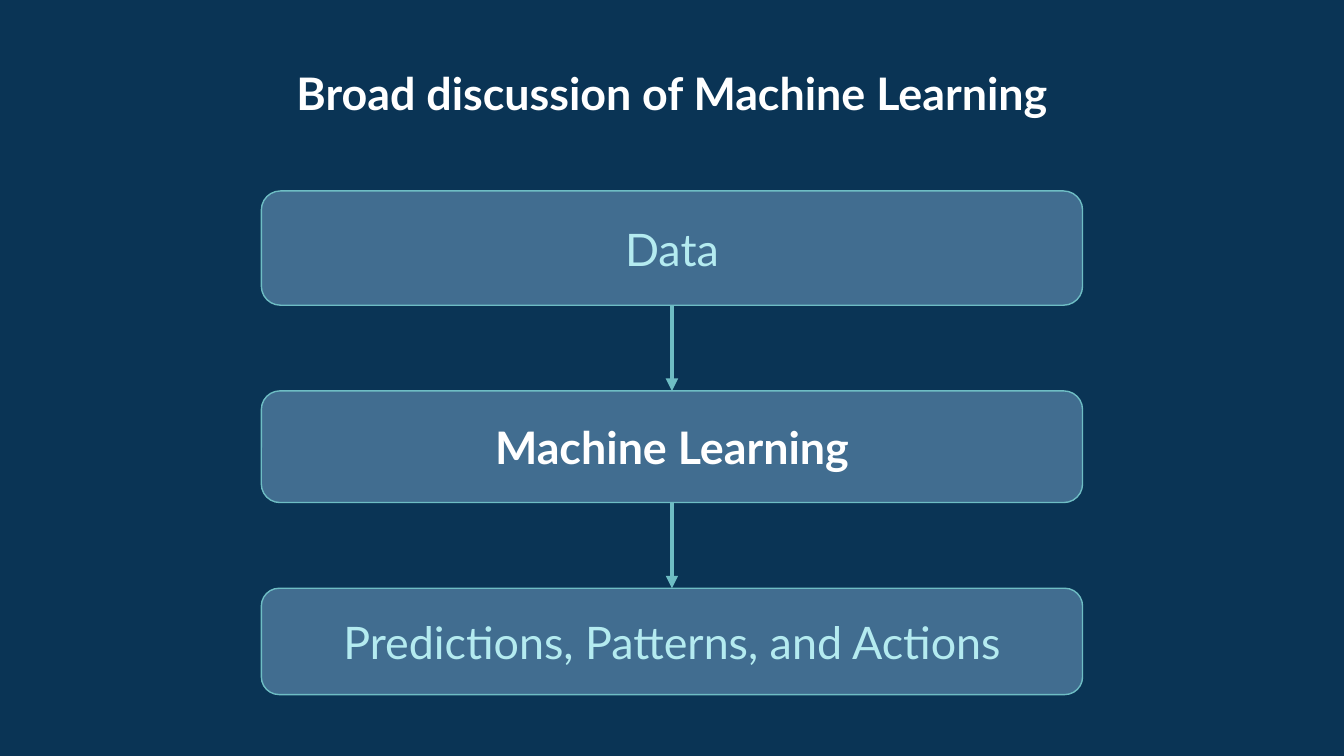
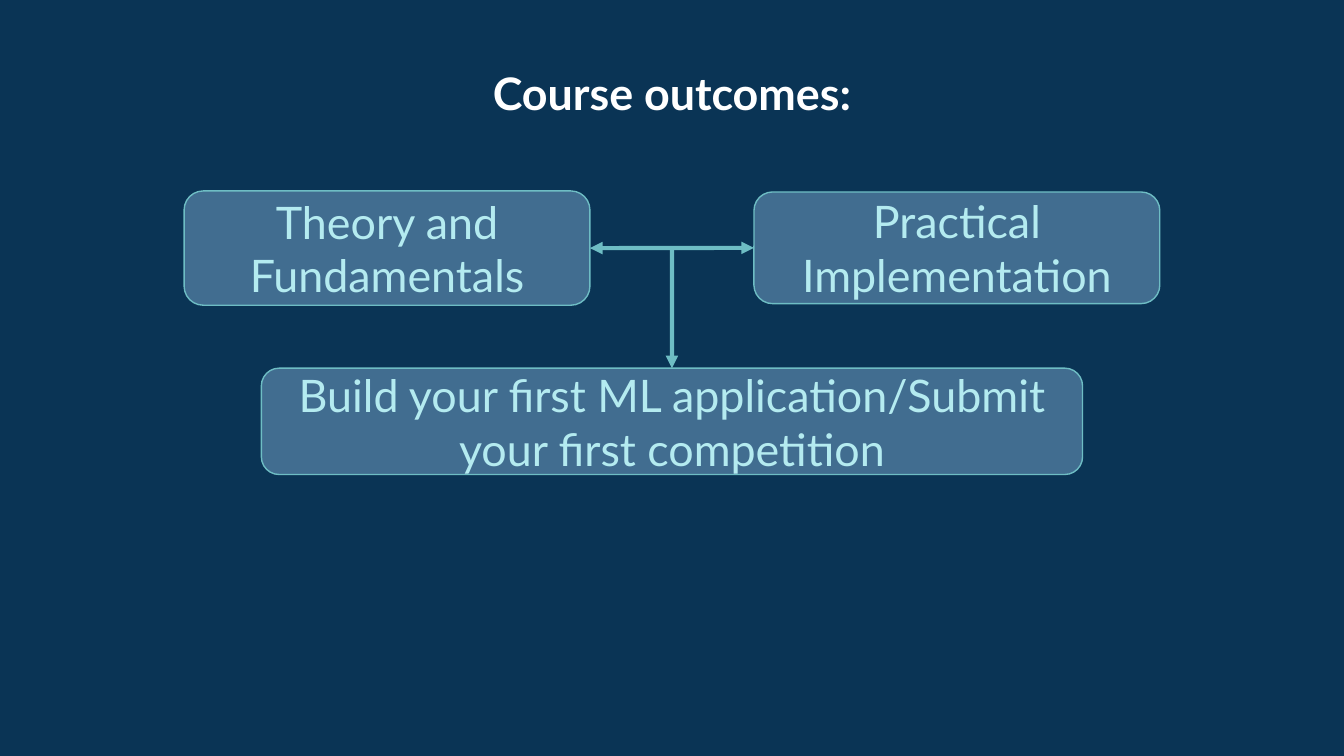
from dataclasses import dataclass
from typing import Any

from lxml.etree import SubElement
from pptx import Presentation
from pptx.dml.color import RGBColor
from pptx.enum.shapes import MSO_CONNECTOR, MSO_SHAPE
from pptx.enum.text import MSO_ANCHOR, MSO_AUTO_SIZE, PP_ALIGN
from pptx.oxml.ns import qn
from pptx.util import Cm, Pt

# Colours
NAVY = RGBColor(0x0A, 0x34, 0x55)
STEEL = RGBColor(0x41, 0x6D, 0x90)
TEAL = RGBColor(0x6E, 0xBD, 0xC4)
PALE = RGBColor(0xB4, 0xEB, 0xF0)
WHITE = RGBColor(0xFF, 0xFF, 0xFF)

# Shared formats
INSET = Cm(0.25)
FRAME = {
    "word_wrap": True, "auto_size": MSO_AUTO_SIZE.NONE,
    "margin_left": INSET, "margin_right": INSET,
    "margin_top": INSET, "margin_bottom": INSET,
}
FONT = {"name": "Lato", "size": Pt(24)}
TITLE = {"left": Cm(4.57), "top": Cm(0.99), "width": Cm(16.26), "height": Cm(2.62)}

# Layout, in centimetres
PAGE_W, PAGE_H = 25.4, 14.29
TOP = 3.61
GAP = 1.62
WIDE = 15.52
WIDE_X = (PAGE_W - WIDE) / 2
HALF = 7.67
HALF_X = 3.48
BOTTOM, LEFT, RIGHT = 2, 1, 3


@dataclass
class Box:
    text: str
    x: float
    y: float
    w: float
    h: float
    strong: bool = False


def apply(target: Any, values: dict[str, Any]) -> None:
    for key, value in values.items():
        setattr(target, key, value)


def write(frame: Any, text: str, anchor: Any, strong: bool) -> None:
    apply(frame, FRAME | {"vertical_anchor": anchor})
    frame.text = text
    para = frame.paragraphs[0]
    para.alignment = PP_ALIGN.CENTER
    apply(para.runs[0].font, FONT | {"bold": strong})
    para.runs[0].font.color.rgb = WHITE if strong else PALE


def trace(line: Any, width: float) -> None:
    line.color.rgb = TEAL
    line.width = Pt(width)


def add_slide(prs: Any, title: str) -> Any:
    slide = prs.slides.add_slide(prs.slide_layouts[5])
    apply(slide.shapes.title, TITLE)
    write(slide.shapes.title.text_frame, title, MSO_ANCHOR.TOP, True)
    return slide


def add_box(slide: Any, box: Box) -> Any:
    shape = slide.shapes.add_shape(
        MSO_SHAPE.FLOWCHART_ALTERNATE_PROCESS,
        Cm(box.x), Cm(box.y), Cm(box.w), Cm(box.h))
    shape.shadow.inherit = False
    shape.fill.solid()
    shape.fill.fore_color.rgb = STEEL
    trace(shape.line, 0.75)
    write(shape.text_frame, box.text, MSO_ANCHOR.MIDDLE, box.strong)
    return shape


def add_arrow(slide: Any, end: Any, site: int, start: Any = None,
              from_site: int = BOTTOM, at: tuple[float, float] = (0, 0),
              ends: tuple[str, ...] = ("tailEnd",)) -> None:
    x, y = Cm(at[0]), Cm(at[1])
    arrow = slide.shapes.add_connector(MSO_CONNECTOR.STRAIGHT, x, y, x, y)
    if start is not None:
        arrow.begin_connect(start, from_site)
    arrow.end_connect(end, site)
    trace(arrow.line, 2.25)
    for tip in ends:
        SubElement(arrow.line._get_or_add_ln(), qn(f"a:{tip}"), type="triangle")
    SubElement(arrow._element.spPr, qn("a:effectLst"))


def add_flow(prs: Any) -> None:
    slide = add_slide(prs, "Broad discussion of Machine Learning")
    steps = [
        ("Data", 2.16, False),
        ("Machine Learning", 2.11, True),
        ("Predictions, Patterns, and Actions", 2.01, False),
    ]
    # Stacked steps
    shapes = []
    y = TOP
    for text, high, strong in steps:
        shapes.append(add_box(slide, Box(text, WIDE_X, y, WIDE, high, strong)))
        y += high + GAP
    # Arrows between steps
    for start, end in zip(shapes, shapes[1:]):
        add_arrow(slide, end, 0, start)


def add_goals(prs: Any) -> None:
    slide = add_slide(prs, "Course outcomes:")
    # Two strands and their result
    theory, craft, result = [add_box(slide, box) for box in (
        Box("Theory and Fundamentals", HALF_X, TOP, HALF, 2.16),
        Box("Practical Implementation", PAGE_W - HALF_X - HALF, 3.63, HALF, 2.11),
        Box("Build your first ML application/Submit your first competition",
            WIDE_X, 6.96, WIDE, 2.01),
    )]
    # Link between strands, then down to the result
    add_arrow(slide, craft, LEFT, theory, RIGHT, ends=("headEnd", "tailEnd"))
    add_arrow(slide, result, 0, at=(PAGE_W / 2, 4.72))


def main() -> None:
    prs = Presentation()
    apply(prs, {"slide_width": Cm(PAGE_W), "slide_height": Cm(PAGE_H)})
    back = prs.slide_master.background.fill
    back.solid()
    back.fore_color.rgb = NAVY
    add_flow(prs)
    add_goals(prs)
    prs.save("out.pptx")


if __name__ == "__main__":
    main()
